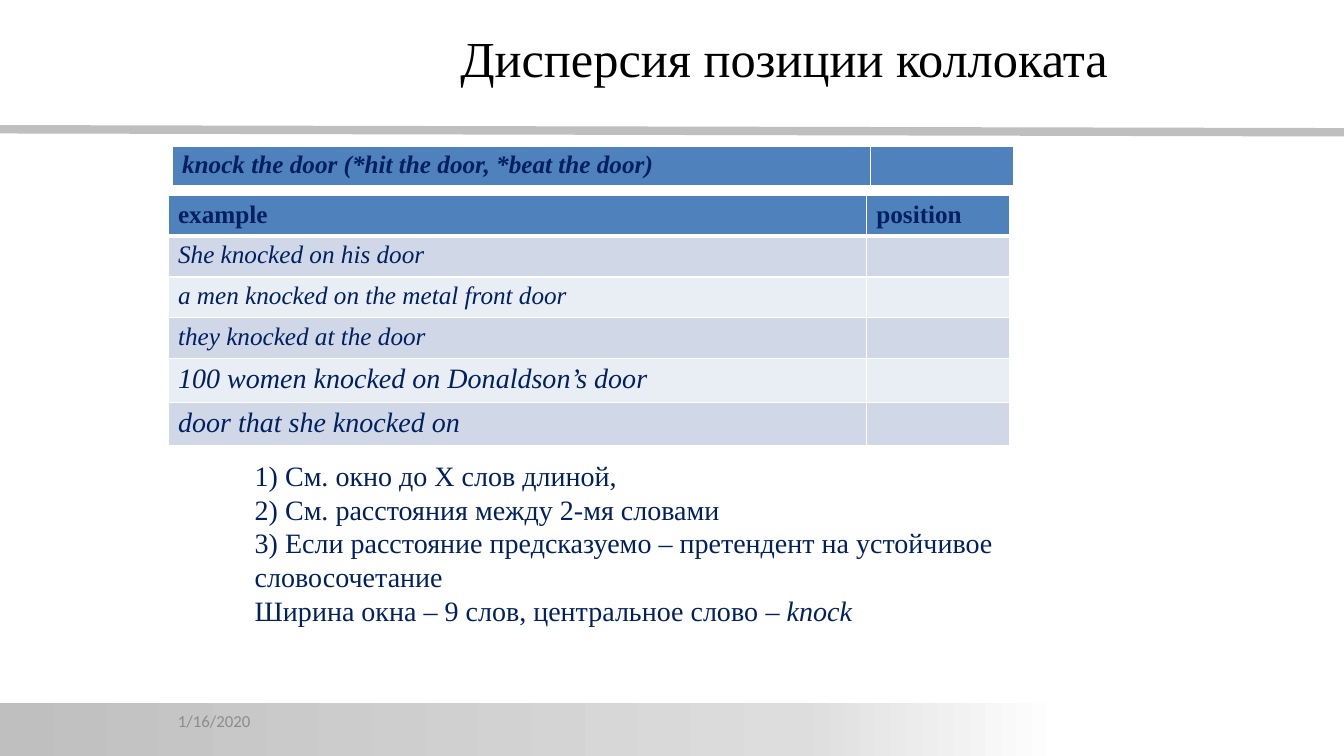
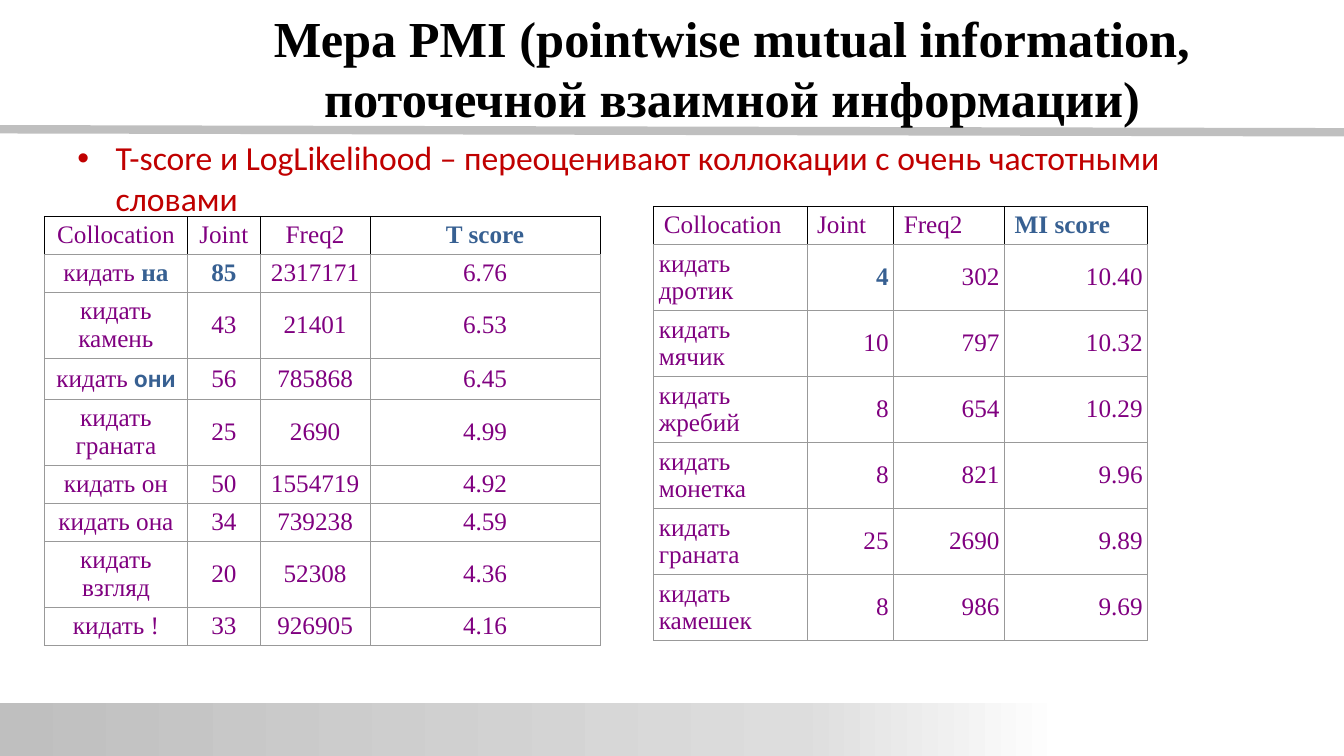
from copy import deepcopy

from lxml.etree import SubElement
from pptx import Presentation
from pptx.dml.color import RGBColor
from pptx.enum.shapes import MSO_CONNECTOR, MSO_SHAPE
from pptx.enum.text import MSO_ANCHOR, MSO_AUTO_SIZE, PP_ALIGN
from pptx.oxml.ns import qn
from pptx.util import Inches, Pt

WIDTH, HEIGHT = Inches(13.33), Inches(7.5)
COLUMN, ROW = WIDTH / 100, HEIGHT / 100
SERIF, SANS = "Times New Roman", "Calibri"
COLORS = {
    "title": "000000", "navy": "002060", "purple": "800080", "accent": "376092",
    "red": "C00000", "date": "8C8C8C", "rule": "BFBFBF", "band": "DDDDDD",
    "white": "FFFFFF", "header": "4F81BD", "odd": "D0D8E8", "even": "E9EDF4",
    "grid": "999999", "frame": "000000",
}
ACCENT = {"color": "accent", "bold": True}
LINE_ROW, WRAPPED_ROW = 5.03, 8.73


def rgb(name):
    """Return the named palette colour."""
    return RGBColor.from_string(COLORS[name])


def grid_box(left, top, width, height):
    """Turn grid columns and rows into slide lengths."""
    return (round(left * COLUMN), round(top * ROW),
            round(width * COLUMN), round(height * ROW))


def place(shape, box):
    """Move a shape to a box on the grid."""
    shape.left, shape.top, shape.width, shape.height = grid_box(*box)


def add_run(paragraph, text, font=SERIF, size=18, color="navy", bold=False, italic=False):
    """Add one formatted run to a paragraph."""
    run = paragraph.add_run()
    run.text = text
    run.font.name, run.font.size = font, Pt(size)
    run.font.bold, run.font.italic = bold, italic
    run.font.color.rgb = rgb(color)


def write_text(frame, *paragraphs, align=PP_ALIGN.LEFT, anchor=MSO_ANCHOR.TOP,
               bullet=None, indent=0, **style):
    """Fill a text frame; a paragraph is a string or a list of (text, style) runs."""
    frame.word_wrap = True
    frame.auto_size = MSO_AUTO_SIZE.NONE
    frame.vertical_anchor = anchor
    for index, runs in enumerate(paragraphs):
        paragraph = frame.add_paragraph() if index else frame.paragraphs[0]
        paragraph.alignment = align
        paragraph.space_before = Pt(0)
        properties = paragraph._p.get_or_add_pPr()
        properties.set("marL", str(Inches(indent)))
        properties.set("indent", str(-Inches(indent)))
        if bullet:
            SubElement(properties, qn("a:buChar"), char=bullet)
        else:
            SubElement(properties, qn("a:buNone"))
        for text, changes in [(runs, {})] if isinstance(runs, str) else runs:
            add_run(paragraph, text, **{**style, **changes})


def set_borders(cell, color, width, bottom_color=None, bottom_width=None):
    """Draw the four edges of a table cell."""
    properties = cell._tc.get_or_add_tcPr()
    for index, edge in enumerate(("lnL", "lnR", "lnT", "lnB")):
        bottom = edge == "lnB"
        name = bottom_color if bottom and bottom_color else color
        points = bottom_width if bottom and bottom_width else width
        line = SubElement(properties, qn(f"a:{edge}"), w=str(Pt(points)))
        fill = SubElement(line, qn("a:solidFill"))
        SubElement(fill, qn("a:srgbClr"), val=COLORS[name])
        properties.insert(index, line)


def add_grid(slide, left, top, width, weights, heights):
    """Add an unstyled table with weighted columns and return it."""
    box = grid_box(left, top, width, sum(heights))
    table = slide.shapes.add_table(len(heights), len(weights), *box).table
    table.first_row = table.horz_banding = False
    for column, weight in zip(table.columns, weights):
        column.width = round(box[2] * weight / sum(weights))
    for row, height in zip(table.rows, heights):
        row.height = round(height * ROW)
    return table


def add_example_table(slide, left, top, rows, heights, header_style):
    """Add a blue-headed table of example phrases and their positions."""
    table = add_grid(slide, left, top, 62.6, (83, 17), heights)
    for number, (values, style) in enumerate(rows):
        header = number == 0
        for cell, text in zip(table.rows[number].cells, values):
            cell.fill.solid()
            cell.fill.fore_color.rgb = rgb("header" if header else "odd" if number % 2 else "even")
            set_borders(cell, "white", 1, bottom_width=3 if header else 1)
            if text:
                write_text(cell.text_frame, text, **(header_style if header else style))


def add_score_table(slide, left, top, width, weights, rows, wrapped, header_align, aligns):
    """Add a collocation table with thin grey rules and a black header frame."""
    heights = [WRAPPED_ROW if number in wrapped else LINE_ROW for number in range(len(rows))]
    table = add_grid(slide, left, top, width, weights, heights)
    for number, values in enumerate(rows):
        for cell, value, align in zip(table.rows[number].cells, values, aligns):
            cell.fill.solid()
            cell.fill.fore_color.rgb = rgb("white")
            set_borders(cell, "grid" if number else "frame", 0.75, bottom_color="grid")
            if number:
                cell.margin_left = cell.margin_right = Inches(0.05)
            write_text(cell.text_frame, value, color="purple",
                       align=align if number else header_align)
            cell.vertical_anchor = MSO_ANCHOR.MIDDLE


def decorate_master(presentation, slide):
    """Build the title rule and the bottom band and keep them on the master."""
    left, top, width, height = grid_box(0, 17.1, 100, 0.4)
    rule = slide.shapes.add_connector(MSO_CONNECTOR.STRAIGHT, left, top, width, top + height)
    rule.line.color.rgb = rgb("rule")
    rule.line.width = Pt(6)
    SubElement(rule.element.spPr, qn("a:effectLst"))
    band = slide.shapes.add_shape(MSO_SHAPE.RECTANGLE, *grid_box(0, 93, 79.1, 7))
    band.shadow.inherit = False
    band.line.fill.background()
    band.fill.gradient()
    band.fill.gradient_angle = 0
    stops = band.element.spPr.find(".//" + qn("a:gsLst"))
    stops.insert(1, deepcopy(stops[0]))
    for stop, name, position in zip(band.fill.gradient_stops, ("rule", "band", "white"), (0, 0.75, 1)):
        stop.color.rgb = rgb(name)
        stop.position = position
    for offset, shape in enumerate((rule, band)):
        shape.element.find(".//" + qn("p:cNvPr")).set("id", str(101 + offset))
        presentation.slide_master.shapes.element.insert(2 + offset, shape.element)


def add_titled_slide(presentation, title, box, **style):
    """Add a slide with a formatted title and return it with its body placeholder."""
    slide = presentation.slides.add_slide(presentation.slide_layouts[1])
    place(slide.shapes.title, box)
    write_text(slide.shapes.title.text_frame, title, size=36, color="title",
               anchor=MSO_ANCHOR.MIDDLE, **style)
    return slide, slide.placeholders[1]


def build_dispersion_slide(presentation):
    """Build the slide on the spread of a collocate's position."""
    slide, body = add_titled_slide(presentation, "Дисперсия позиции коллоката", (33.5, 2.8, 54, 9.5))
    place(body, (18.2, 60, 66.2, 24))
    write_text(
        body.text_frame,
        "1) См. окно до Х слов длиной,",
        "2) См. расстояния между 2-мя словами",
        "3) Если расстояние предсказуемо – претендент на устойчивое словосочетание",
        [("Ширина окна – 9 слов, центральное слово ", {}), ("– knock", {"italic": True})],
        size=20,
    )
    small, large = {"italic": True}, {"italic": True, "size": 20}
    examples = [
        (("example", "position"), {}),
        (("She knocked on his door", ""), small),
        (("a men knocked on the metal front door", ""), small),
        (("they knocked at the door", ""), small),
        (("100 women knocked on Donaldson’s door", ""), large),
        (("door that she knocked on", ""), large),
    ]
    add_example_table(slide, 12.5, 25.9, examples, [5.33] * 4 + [5.75] * 2, {"bold": True})
    phrase = [(("knock the door (*hit the door, *beat the door)", ""), {})]
    add_example_table(slide, 12.8, 19.3, phrase, [5.33], {"bold": True, "italic": True})
    date = slide.shapes.add_textbox(*grid_box(12.5, 92.7, 17.5, 5.33))
    write_text(date.text_frame, "1/16/2020", font=SANS, size=12, color="date",
               anchor=MSO_ANCHOR.MIDDLE)
    return slide


def build_measure_slide(presentation):
    """Build the slide that compares T score with MI score."""
    slide, body = add_titled_slide(
        presentation, "Мера PMI (pointwise mutual information, поточечной взаимной информации)",
        (19.3, 0.1, 70.35, 17.6), align=PP_ALIGN.CENTER, bold=True)
    place(body, (5, 17.5, 87.5, 11.7))
    write_text(
        body.text_frame,
        "T-score и LogLikelihood – переоценивают коллокации с очень частотными словами",
        font=SANS, size=24, color="red", bullet="•", indent=0.38)
    header = ("Collocation", "Joint", "Freq2")
    t_scores = [
        (*header, [("T score", ACCENT)]),
        ([("кидать ", {}), ("на", ACCENT)], [("85", ACCENT)], "2317171", "6.76"),
        ("кидать камень", "43", "21401", "6.53"),
        ([("кидать ", {}), ("они", {**ACCENT, "font": SANS})], "56", "785868", "6.45"),
        ("кидать граната", "25", "2690", "4.99"),
        ("кидать он", "50", "1554719", "4.92"),
        ("кидать она", "34", "739238", "4.59"),
        ("кидать взгляд", "20", "52308", "4.36"),
        ("кидать !", "33", "926905", "4.16"),
    ]
    add_score_table(slide, 3.3, 28.6, 41.35, (1.42, 0.72, 1.09, 2.28), t_scores,
                    (2, 4, 7), PP_ALIGN.CENTER, [PP_ALIGN.CENTER] * 4)
    mi_scores = [
        (*header, [("MI score", ACCENT)]),
        ("кидать дротик", [("4", ACCENT)], "302", "10.40"),
        ("кидать мячик", "10", "797", "10.32"),
        ("кидать жребий", "8", "654", "10.29"),
        ("кидать монетка", "8", "821", "9.96"),
        ("кидать граната", "25", "2690", "9.89"),
        ("кидать камешек", "8", "986", "9.69"),
    ]
    add_score_table(slide, 48.65, 27.3, 36.75, (1.52, 0.86, 1.1, 1.42), mi_scores,
                    range(1, 7), PP_ALIGN.LEFT, [PP_ALIGN.LEFT] + [PP_ALIGN.RIGHT] * 3)


def main():
    """Build and save the presentation."""
    presentation = Presentation()
    presentation.slide_width, presentation.slide_height = WIDTH, HEIGHT
    first_slide = build_dispersion_slide(presentation)
    decorate_master(presentation, first_slide)
    build_measure_slide(presentation)
    presentation.save("out.pptx")


if __name__ == "__main__":
    main()
